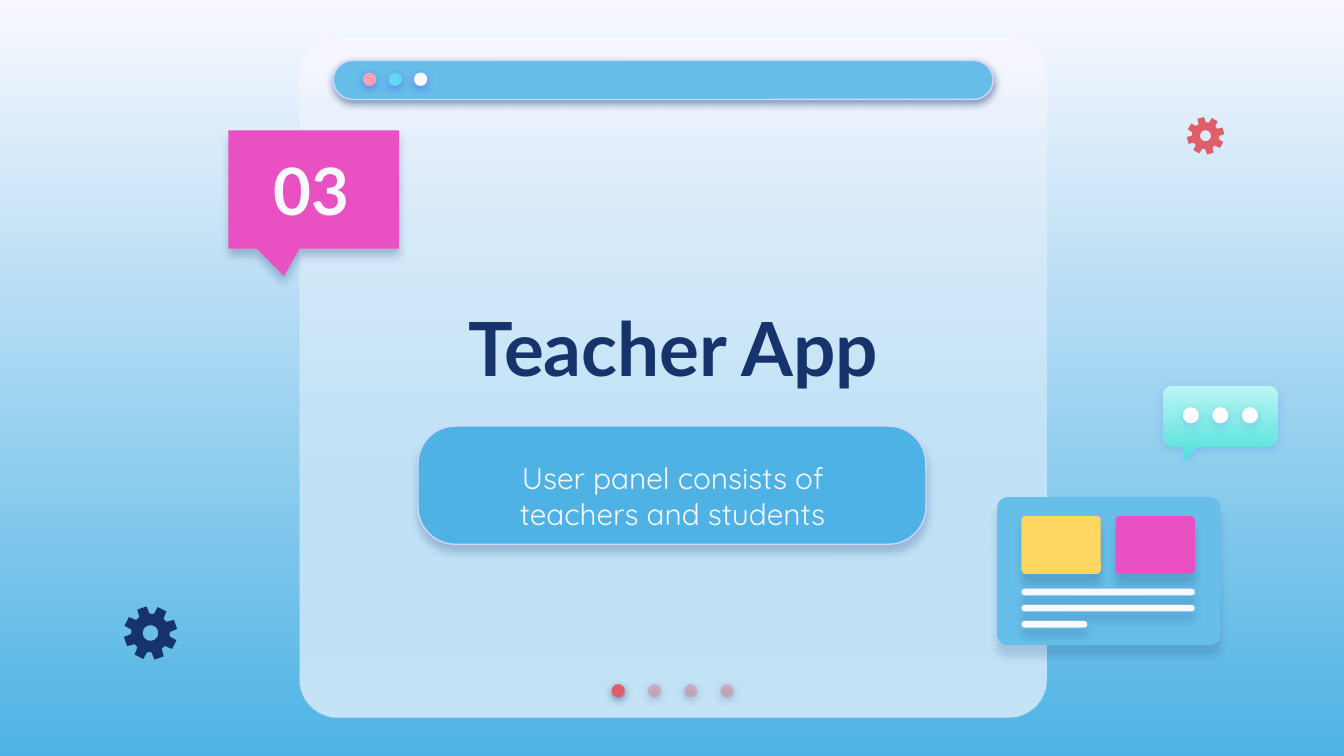
from math import cos, radians, sin

from lxml import etree
from pptx import Presentation
from pptx.dml.color import RGBColor
from pptx.enum.shapes import MSO_SHAPE as SHAPE
from pptx.enum.text import MSO_ANCHOR as ANCHOR, PP_ALIGN as ALIGN
from pptx.oxml.ns import qn
from pptx.util import Inches, Pt

NAVY, BLUE, SKY, WHITE = "17336B", "4EB3E4", "66BEE9", "F9F8FF"
PINK, RED, ROSE, VIOLET = "E951C2", "DF5F69", "E27B83", "5352EE"
OUTLINE = "D2D6FF"

# Shadows: colour, opacity %, blur pt, distance pt
DOT_SHADOW = (NAVY, 50, 4.5, 1.5)
BUTTON_SHADOW = (VIOLET, 50, 4.5, 1.5)
BUBBLE_SHADOW = (VIOLET, 18, 4.5, 1.5)
LINE_SHADOW = (NAVY, 21, 4.5, 4.5)
TILE_SHADOW = (NAVY, 20, 4.5, 6)


def rgb(color):
    return RGBColor.from_string(color)


def set_alpha(clr, percent):
    etree.SubElement(clr, qn("a:alpha"), val=str(percent * 1000))


def set_gradient(fill, top, bottom):
    fill.gradient()
    fill.gradient_angle = 270
    for stop, color, pos in zip(fill.gradient_stops, (top, bottom), (0, 1)):
        stop.color.rgb = rgb(color)
        stop.position = pos


def add_shadow(sp, color, alpha, blur, dist):
    effects = sp._element.spPr.find(qn("a:effectLst"))
    shadow = etree.SubElement(
        effects, qn("a:outerShdw"), blurRad=str(Pt(blur)), dist=str(Pt(dist)),
        dir="5400000", algn="bl", rotWithShape="0")
    set_alpha(etree.SubElement(shadow, qn("a:srgbClr"), val=color), alpha)


def paint(sp, fill, alpha=100, line=None, shadow=None):
    """Fill is one hex string, or a (top, bottom) pair; alpha is for the last colour."""
    if isinstance(fill, tuple):
        set_gradient(sp.fill, *fill)
    else:
        sp.fill.solid()
        sp.fill.fore_color.rgb = rgb(fill)
    if alpha < 100:
        fill_colors = list(sp._element.spPr.iter(qn("a:srgbClr")))
        set_alpha(fill_colors[-1], alpha)
    if line:
        sp.line.color.rgb = rgb(line)
        sp.line.width = Pt(0.75)
    else:
        sp.line.fill.background()
    sp.shadow.inherit = False
    if shadow:
        add_shadow(sp, *shadow)


def add_shape(slide, kind, box, fill, adj=(), **look):
    sp = slide.shapes.add_shape(kind, *map(Inches, box))
    for i, value in enumerate(adj):
        sp.adjustments[i] = value
    paint(sp, fill, **look)


def add_dots(slide, left, top, size, step, fills, **look):
    for i, fill in enumerate(fills):
        add_shape(slide, SHAPE.OVAL, (left + i * step, top, size, size), fill, **look)


def add_text(slide, box, text, font, anchor=ANCHOR.MIDDLE):
    tf = slide.shapes.add_textbox(*map(Inches, box)).text_frame
    margins = dict.fromkeys(
        ("margin_left", "margin_top", "margin_right", "margin_bottom"), Inches(0.1))
    for name, value in {**margins, "word_wrap": True, "vertical_anchor": anchor}.items():
        setattr(tf, name, value)
    p = tf.paragraphs[0]
    p.alignment = ALIGN.CENTER
    r = p.add_run()
    r.text = text
    r.font.color.rgb = rgb(font["color"])
    for name in ("name", "size", "bold"):
        setattr(r.font, name, font[name])


def polar(cx, cy, radius, angle):
    """Point at a clockwise angle from straight up, in degrees."""
    return cx + radius * sin(radians(angle)), cy - radius * cos(radians(angle))


def add_outline(slide, contours, fill, **look):
    contours = [[(Inches(x), Inches(y)) for x, y in c] for c in contours]
    builder = slide.shapes.build_freeform(*contours[0][0])
    for i, contour in enumerate(contours):
        if i:
            builder.move_to(*contour[0])
        builder.add_line_segments(contour[1:], close=True)
    paint(builder.convert_to_shape(), fill, **look)


def add_gear(slide, cx, cy, radius, turn, fill):
    tooth = ((-16, 0.72), (-10.5, 1), (10.5, 1), (16, 0.72))
    rim = [polar(cx, cy, radius * k, turn + 45 * i + a)
           for i in range(8) for a, k in tooth]
    hole = [polar(cx, cy, radius * 0.29, -a) for a in range(0, 360, 10)]
    add_outline(slide, [rim, hole], fill)


def add_bubble(slide, left, top, right, bottom, radius, tail, **look):
    corners = ((left + radius, top + radius, 270), (right - radius, top + radius, 0),
               (right - radius, bottom - radius, 90), (left + radius, bottom - radius, 180))
    points = []
    for cx, cy, start in corners:
        if start == 180:
            points += tail
        points += [polar(cx, cy, radius, start + a) for a in range(0, 91, 10)]
    add_outline(slide, [points], **look)


def main():
    prs = Presentation()
    prs.slide_width = Inches(10)
    prs.slide_height = prs.slide_width * 9 // 16
    slide = prs.slides.add_slide(prs.slide_layouts[6])
    set_gradient(slide.background.fill, WHITE, BLUE)

    # App window with page dots and title bar
    window = (2.23, 0.28, 5.56, 5.06)
    add_shape(slide, SHAPE.ROUNDED_RECTANGLE, window, WHITE, [0.056])
    add_shape(slide, SHAPE.ROUNDED_RECTANGLE, window, (WHITE, SKY), [0.056], alpha=35)
    add_dots(slide, 4.55, 5.09, 0.1, 0.27, [RED], shadow=DOT_SHADOW)
    add_dots(slide, 4.82, 5.09, 0.1, 0.27, [ROSE] * 3, alpha=44, shadow=DOT_SHADOW)
    add_shape(slide, SHAPE.ROUNDED_RECTANGLE, (2.48, 0.45, 4.91, 0.29), SKY, [0.5],
              line=OUTLINE, shadow=DOT_SHADOW)
    add_dots(slide, 2.7, 0.54, 0.1, 0.19, ["FDA0B4", "60D8F4", WHITE],
             shadow=BUTTON_SHADOW)

    # Section number callout, title and subtitle
    add_shape(slide, SHAPE.ROUNDED_RECTANGULAR_CALLOUT, (1.7, 0.97, 1.27, 0.88), PINK,
              [-0.174, 0.731, 0], shadow=(NAVY, 25, 4.5, 3.8))
    add_shape(slide, SHAPE.ROUNDED_RECTANGLE, (3.11, 3.17, 3.78, 0.88), BLUE, [0.317],
              line=OUTLINE, shadow=(NAVY, 24, 4.5, 3.8))
    heading = {"name": "Lato", "size": Pt(40), "bold": True, "color": NAVY}
    body = {"name": "Quicksand", "size": Pt(16), "bold": False, "color": WHITE}
    add_text(slide, (2.71, 1.67, 4.6, 1.82), "Teacher App", heading)
    add_text(slide, (3.5, 3.3, 3.01, 0.78),
             "User panel consists of teachers and students", body)

    # Content card with two tiles and three text lines
    add_shape(slide, SHAPE.ROUNDED_RECTANGLE, (7.42, 3.7, 1.66, 1.1), SKY, [0.07],
              shadow=(NAVY, 17, 4.5, 6))
    for i, fill in enumerate(("FFD65F", PINK)):
        add_shape(slide, SHAPE.ROUNDED_RECTANGLE, (7.6 + 0.7 * i, 3.84, 0.59, 0.43), fill,
                  [0.07], shadow=TILE_SHADOW)
    for i, width in enumerate((1.29, 1.29, 0.49)):
        add_shape(slide, SHAPE.ROUNDED_RECTANGLE, (7.6, 4.38 + 0.12 * i, width, 0.05),
                  WHITE, [0.5], shadow=LINE_SHADOW)

    # Chat bubble
    add_bubble(slide, 8.65, 2.87, 9.51, 3.32, 0.08,
               [(8.91, 3.32), (8.81, 3.43), (8.81, 3.32)],
               fill=("BBF6F4", "4EE0DB"), shadow=BUBBLE_SHADOW)
    add_dots(slide, 8.8, 3.03, 0.12, 0.22, ["FFFFFF"] * 3, shadow=BUBBLE_SHADOW)

    # Gears
    add_gear(slide, 1.12, 4.71, 0.2, -19, NAVY)
    add_gear(slide, 8.97, 1.01, 0.14, -15, RED)

    # Section number
    add_text(slide, (1.79, 1.02, 1.06, 0.78), "03",
             {**heading, "size": Pt(35), "color": WHITE}, ANCHOR.BOTTOM)

    prs.save("out.pptx")


if __name__ == "__main__":
    main()
